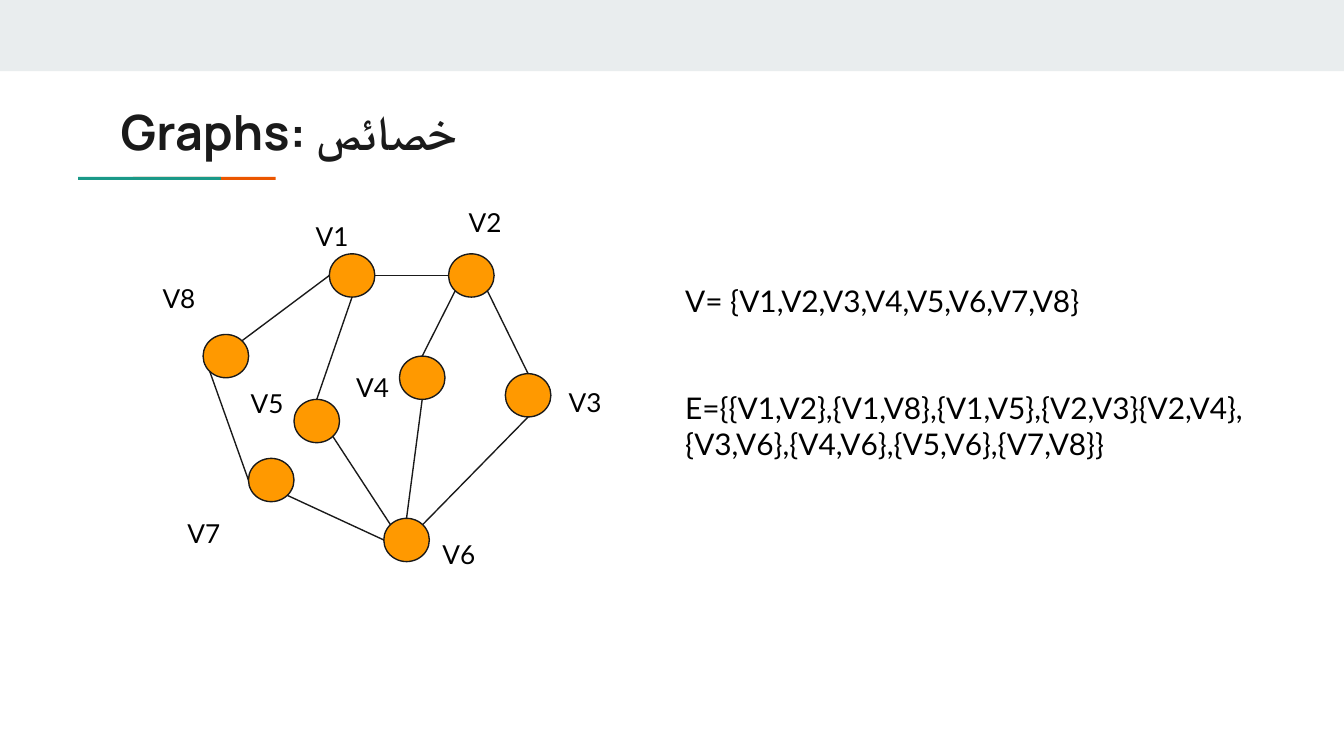
from lxml.etree import SubElement
from pptx import Presentation
from pptx.dml.color import RGBColor
from pptx.enum.shapes import MSO_CONNECTOR as CONN, MSO_SHAPE as SHAPE
from pptx.oxml.ns import qn
from pptx.util import Pt

INK, BLACK, ORANGE = "1A1A1A", "000000", "FF9900"
NODE_W, NODE_H = 24.4, 23.2

TITLE = "Graphs: خصائص"
SETS = [
    "V= {V1,V2,V3,V4,V5,V6,V7,V8}",
    "E={{V1,V2},{V1,V8},{V1,V5},{V2,V3}{V2,V4},{V3,V6},{V4,V6},{V5,V6},{V7,V8}}",
]
# left, top, width, height, colour
BARS = [
    (0, 0, 720, 38.2, "E9EDEE"),
    (71.2, 94.8, 76.5, 1.6, "EB5600"),
    (41.8, 94.8, 76.5, 1.6, "1A9988"),
]
# name: (left and top of the node, left and top of its label)
NODES = {
    "V1": ((176.4, 136), (162, 110.9)),
    "V2": ((240.3, 136), (244, 103.5)),
    "V3": ((270.7, 200.2), (297.5, 199.6)),
    "V4": ((214, 190.8), (183.7, 191.6)),
    "V5": ((157.5, 214), (127.2, 200.3)),
    "V6": ((205.6, 277.7), (229.9, 281.3)),
    "V7": ((133.1, 245.6), (93.3, 270.2)),
    "V8": ((108.8, 179.2), (80, 144)),
}
# Each end is a node and the compass point where the line touches it
EDGES = [
    ("V1", "E", "V2", "W"), ("V3", "N", "V2", "SE"), ("V4", "N", "V2", "SW"),
    ("V3", "S", "V6", "NE"), ("V6", "N", "V4", "S"), ("V8", "NE", "V1", "W"),
    ("V7", "W", "V8", "SW"), ("V6", "NW", "V5", "SE"), ("V6", "W", "V7", "SE"),
    ("V5", "N", "V1", "S"),
]


def rgb(color):
    return RGBColor.from_string(color)


def add_shape(kind, x, y, w, h, fill, line=None):
    sp = s.shapes.add_shape(kind, Pt(x), Pt(y), Pt(w), Pt(h))
    sp.shadow.inherit = False
    sp.fill.solid()
    sp.fill.fore_color.rgb = rgb(fill)
    if line:
        sp.line.color.rgb = rgb(line)
        sp.line.width = Pt(0.75)
    else:
        sp.line.fill.background()


def add_text(x, y, w, h, paragraphs, size, font="Lato", color=BLACK, bold=False, gap=0):
    tf = s.shapes.add_textbox(Pt(x), Pt(y), Pt(w), Pt(h)).text_frame
    tf.word_wrap = True
    tf.margin_left = tf.margin_right = tf.margin_top = tf.margin_bottom = Pt(7.2)
    for i, text in enumerate(paragraphs):
        p = tf.add_paragraph() if i else tf.paragraphs[0]
        if i:
            p.space_before = Pt(gap)
        r = p.add_run()
        r.text = text
        r.font.name, r.font.size, r.font.bold = font, Pt(size), bold
        r.font.color.rgb = rgb(color)
        SubElement(r.font._element, qn("a:cs")).set("typeface", font)


def touch_point(node, side):
    """Point on the rim of a node in a compass direction."""
    x, y = NODES[node][0]
    dx = ("E" in side) - ("W" in side)
    dy = ("S" in side) - ("N" in side)
    reach = 0.5 / (dx * dx + dy * dy) ** 0.5
    return Pt(x + NODE_W * (0.5 + dx * reach)), Pt(y + NODE_H * (0.5 + dy * reach))


prs = Presentation()
prs.slide_width, prs.slide_height = Pt(720), Pt(405)
s = prs.slides.add_slide(prs.slide_layouts[6])

for *box, color in BARS:
    add_shape(SHAPE.RECTANGLE, *box, color)

for node, _ in NODES.values():
    add_shape(SHAPE.OVAL, *node, NODE_W, NODE_H, ORANGE, INK)

for start, start_side, end, end_side in EDGES:
    edge = s.shapes.add_connector(
        CONN.STRAIGHT, *touch_point(start, start_side), *touch_point(end, end_side))
    edge.line.color.rgb = rgb(INK)
    edge.line.width = Pt(0.75)
    SubElement(edge._element.spPr, qn("a:effectLst"))

for name, (_, label) in NODES.items():
    add_text(*label, 36.7, 42.5, [name], 14)

add_text(360, 144, 319, 178, SETS, 16, gap=38.4)
add_text(57.6, 47.5, 605.5, 42.5, [TITLE], 26, "Manrope", INK, bold=True)

prs.save("out.pptx")
